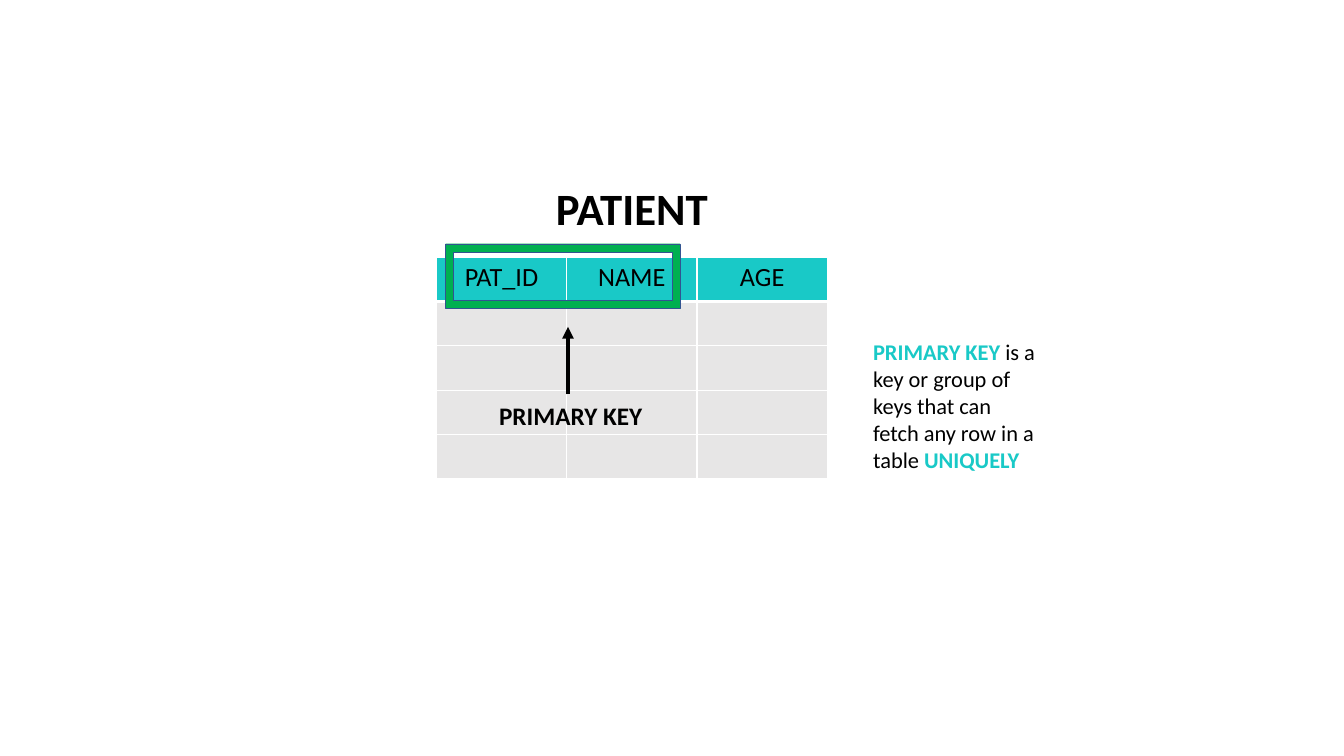
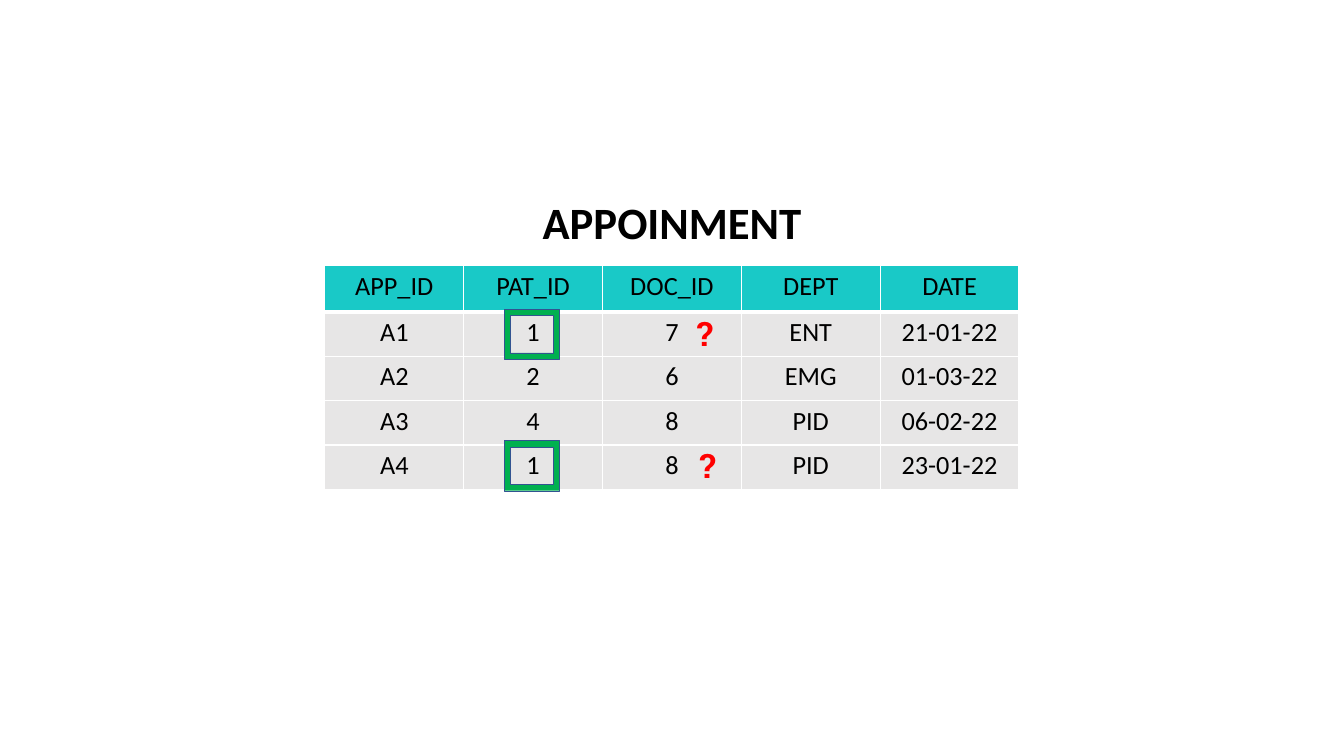
"""Two slides on primary keys: a table each, with marks set on its grid."""
from dataclasses import dataclass
from typing import Any, NamedTuple

from lxml import etree
from pptx import Presentation, util as u
from pptx.dml import color
from pptx.enum import shapes, text
from pptx.oxml import ns


@dataclass(frozen=True)
class Theme:
    """Colours, fonts and type sizes of the deck."""
    teal: str = "19C9C7"
    grey: str = "E7E6E6"
    green: str = "00B050"
    edge: str = "325491"
    black: str = "000000"
    white: str = "FFFFFF"
    red: str = "FF0000"
    body: str = "Calibri"
    slab: str = "Roboto Slab"
    title: float = 34.1
    cell: float = 20
    label: float = 19.2
    note: float = 17.1
    query: float = 25.6


T = Theme()


class Box(NamedTuple):
    """A place on the grid, in columns and rows from the table corner."""
    x: float
    y: float
    w: float
    h: float


class Run(NamedTuple):
    """Words in one style."""
    words: str
    size: float
    hue: str = T.black
    bold: bool = True
    font: str = T.body


class Note(NamedTuple):
    """A text box of one paragraph."""
    box: Box
    runs: tuple[Run, ...]
    align: Any = text.PP_ALIGN.LEFT


class Arrow(NamedTuple):
    """An upright arrow from row y to row end."""
    x: float
    y: float
    end: float


@dataclass(frozen=True)
class Grid:
    """A table whose columns and rows measure the slide, in inches."""
    left: float
    top: float
    col: float
    data: tuple[tuple[str, ...], ...]
    row: float = 0.47
    head: float = 0.47

    def at(self, x: float, y: float) -> tuple[int, int]:
        """Turn a grid point into a slide point."""
        return u.Inches(self.left + x * self.col), u.Inches(self.top + y * self.row)

    def place(self, box: Box) -> tuple[int, ...]:
        """Turn a grid box into left, top, width and height."""
        size = u.Inches(box.w * self.col), u.Inches(box.h * self.row)
        return *self.at(box.x, box.y), *size


@dataclass(frozen=True)
class Page:
    """One slide: its grid, title, frames, arrows and notes."""
    grid: Grid
    title: str
    span: float
    rise: float
    frames: tuple[Box, ...]
    arrows: tuple[Arrow, ...]
    notes: tuple[Note, ...]


def put(thing: Any, vals: dict[str, Any]) -> None:
    """Set each named attribute."""
    for key, val in vals.items():
        setattr(thing, key, val)


def paint(fill: Any, hue: str) -> None:
    """Make a fill solid."""
    fill.solid()
    fill.fore_color.rgb = color.RGBColor.from_string(hue)


def write(para: Any, runs: tuple[Run, ...], align: Any) -> None:
    """Fill a paragraph with styled runs."""
    para.alignment = align
    for run in runs:
        part = para.add_run()
        part.text = run.words
        put(part.font, {"size": u.Pt(run.size), "bold": run.bold, "name": run.font})
        part.font.color.rgb = color.RGBColor.from_string(run.hue)


def rule(cell: Any, base: float) -> None:
    """Draw white borders round a cell, the lower one base points wide."""
    props = cell._tc.get_or_add_tcPr()
    for side, width in {"L": 1, "R": 1, "T": 1, "B": base}.items():
        line = etree.SubElement(props, ns.qn(f"a:ln{side}"), w=str(u.Pt(width)))
        fill = etree.SubElement(line, ns.qn("a:solidFill"))
        etree.SubElement(fill, ns.qn("a:srgbClr"), val=T.white)


def draw_grid(slide: Any, grid: Grid) -> None:
    """Draw the table with a teal head row."""
    rows, cols = len(grid.data), len(grid.data[0])
    table = slide.shapes.add_table(rows, cols, *grid.place(Box(0, 0, cols, rows))).table
    for col in table.columns:
        col.width = u.Inches(grid.col)
    for i, line in enumerate(grid.data):
        table.rows[i].height = u.Inches(grid.row if i else grid.head)
        for j, words in enumerate(line):
            cell = table.cell(i, j)
            rule(cell, 1 if i else 3)
            paint(cell.fill, T.grey if i else T.teal)
            if words:
                run = Run(words, T.cell, bold=False)
                write(cell.text_frame.paragraphs[0], (run,), text.PP_ALIGN.CENTER)


def draw_note(slide: Any, grid: Grid, note: Note) -> None:
    """Draw a text box."""
    frame = slide.shapes.add_textbox(*grid.place(note.box)).text_frame
    put(frame, {"word_wrap": True, "auto_size": text.MSO_AUTO_SIZE.SHAPE_TO_FIT_TEXT})
    write(frame.paragraphs[0], note.runs, note.align)


def draw_frame(slide: Any, grid: Grid, box: Box) -> None:
    """Draw a green frame round key cells."""
    shape = slide.shapes.add_shape(shapes.MSO_SHAPE.FRAME, *grid.place(box))
    shape.shadow.inherit = False
    shape.rotation = 180
    paint(shape.fill, T.green)
    paint(shape.line.fill, T.edge)
    shape.line.width = u.Pt(0.25)


def draw_arrow(slide: Any, grid: Grid, arrow: Arrow) -> None:
    """Draw a black arrow with a triangle head."""
    ends = *grid.at(arrow.x, arrow.y), *grid.at(arrow.x, arrow.end)
    link = slide.shapes.add_connector(shapes.MSO_CONNECTOR.STRAIGHT, *ends)
    paint(link.line.fill, T.black)
    link.line.width = u.Pt(3)
    etree.SubElement(link.line._get_or_add_ln(), ns.qn("a:tailEnd"), type="triangle")
    etree.SubElement(link._element.spPr, ns.qn("a:effectLst"))


def draw_page(deck: Any, page: Page) -> None:
    """Add a slide and draw all its parts."""
    slide = deck.slides.add_slide(deck.slide_layouts[6])
    grid = page.grid
    draw_grid(slide, grid)
    box = Box((len(grid.data[0]) - page.span) / 2, page.rise, page.span, 1.45)
    title = Note(box, (Run(page.title, T.title),), text.PP_ALIGN.CENTER)
    draw_note(slide, grid, title)
    for frame in page.frames:
        draw_frame(slide, grid, frame)
    for arrow in page.arrows:
        draw_arrow(slide, grid, arrow)
    for note in page.notes:
        draw_note(slide, grid, note)


QUERY = (Run("?", T.query, T.red, font=T.slab),)

PATIENT = Page(
    Grid(4.62, 2.72, 1.38, (("PAT_ID", "NAME", "AGE"), *[("",) * 3] * 4)),
    "PATIENT", 1.43, -1.83,
    frames=(Box(0.07, -0.3, 1.8, 1.45),),
    arrows=(Arrow(1.01, 3.09, 1.57),),
    notes=(
        Note(Box(0.41, 3.13, 1.53, 0.89), (Run("PRIMARY KEY", T.label),)),
        Note(Box(3.28, 1.72, 1.43, 3.28), (
            Run("PRIMARY KEY ", T.note, T.teal),
            Run("is a key or group of keys that can fetch any row in a table ",
                T.note, bold=False),
            Run("UNIQUELY", T.note, T.teal),
        )),
    ),
)

VISIT = Page(
    Grid(3.44, 2.81, 1.47, (
        ("APP_ID", "PAT_ID", "DOC_ID", "DEPT", "DATE"),
        ("A1", "1", "7", "ENT", "21-01-22"),
        ("A2", "2", "6", "EMG", "01-03-22"),
        ("A3", "4", "8", "PID", "06-02-22"),
        ("A4", "1", "8", "PID", "23-01-22"),
    ), head=0.49),
    "APPOINMENT", 2.15, -1.7,
    frames=tuple(Box(1.29, y, 0.4, 1.13) for y in (0.98, 3.94)),
    arrows=(),
    notes=tuple(Note(Box(x, y, 0.37, 1.13), QUERY)
                for x, y in ((2.61, 0.96), (2.63, 3.94))),
)


def main() -> None:
    """Build and save the deck."""
    deck = Presentation()
    put(deck, {"slide_width": u.Inches(14.23), "slide_height": u.Inches(8)})
    for page in (PATIENT, VISIT):
        draw_page(deck, page)
    deck.save("out.pptx")


if __name__ == "__main__":
    main()
